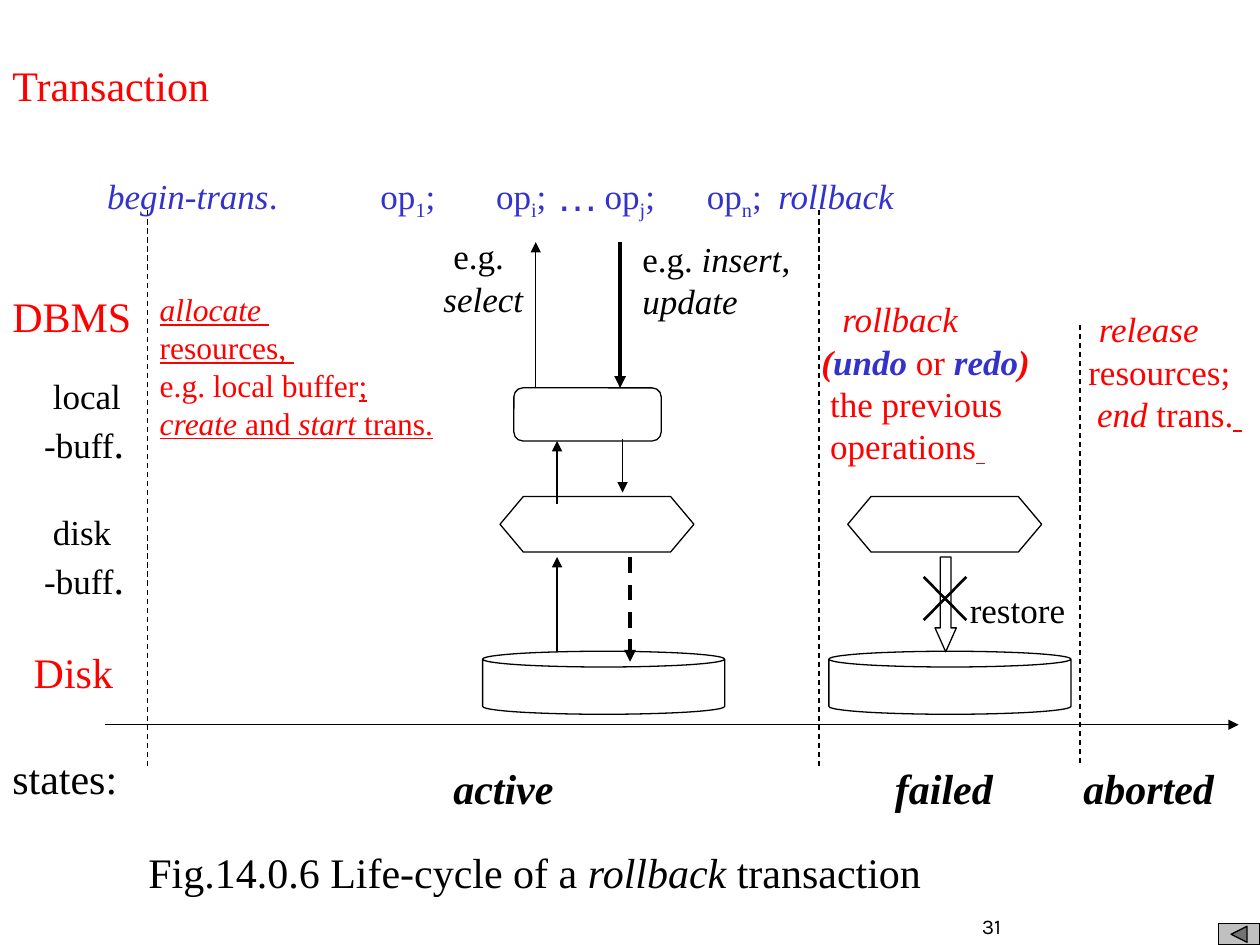
import dataclasses
import typing

import lxml.etree
import pptx
import pptx.dml.color
import pptx.enum.dml
import pptx.enum.shapes
import pptx.enum.text
import pptx.oxml.ns
import pptx.util

Cm = pptx.util.Cm
Pt = pptx.util.Pt
Shape = pptx.enum.shapes.MSO_SHAPE
Align = pptx.enum.text.PP_ALIGN
Anchor = pptx.enum.text.MSO_ANCHOR


@dataclasses.dataclass(frozen=True)
class Theme:
    black: str = "000000"
    white: str = "FFFFFF"
    red: str = "FF0000"
    blue: str = "3333CC"
    grey: str = "C0C0C0"
    serif: str = "Times New Roman"
    sans: str = "Arial"
    number: str = "Karla"
    large: int = 24
    body: int = 20
    small: int = 18
    tiny: int = 12
    thin: float = 0.75
    medium: float = 1.5
    thick: float = 2.25


THEME = Theme()


@dataclasses.dataclass(frozen=True)
class Run:
    text: str
    style: str = ""
    color: str = THEME.black
    size: int = THEME.body
    font: str = THEME.serif


@dataclasses.dataclass(frozen=True)
class Label:
    left: float
    top: float
    width: float
    height: float
    paragraphs: list[list[Run]]
    wrap: bool = False
    align: typing.Any = Align.LEFT
    anchor: typing.Any = Anchor.TOP


@dataclasses.dataclass(frozen=True)
class Line:
    start: tuple[float, float]
    end: tuple[float, float]
    width: float = THEME.thin
    dashed: bool = False
    arrow: bool = True


@dataclasses.dataclass(frozen=True)
class Symbol:
    kind: typing.Any
    left: float
    top: float
    width: float
    height: float
    adjustments: tuple[float, ...] = ()
    fill: typing.Optional[str] = THEME.white


def rgb(color: str) -> pptx.dml.color.RGBColor:
    return pptx.dml.color.RGBColor.from_string(color)


def apply(target: typing.Any, values: dict[str, typing.Any]) -> None:
    for name, value in values.items():
        setattr(target, name, value)


def fill_label(shape: typing.Any, label: Label) -> None:
    frame = shape.text_frame
    apply(frame, {
        "word_wrap": label.wrap, "vertical_anchor": label.anchor,
        "auto_size": pptx.enum.text.MSO_AUTO_SIZE.NONE,
        "margin_left": Cm(0.25), "margin_right": Cm(0.25),
        "margin_top": Cm(0.13), "margin_bottom": Cm(0.13),
    })
    for index, runs in enumerate(label.paragraphs):
        paragraph = frame.add_paragraph() if index else frame.paragraphs[0]
        paragraph.alignment = label.align
        for item in runs:
            run = paragraph.add_run()
            run.text = item.text
            apply(run.font, {
                "name": item.font, "size": Pt(item.size),
                "bold": "b" in item.style, "italic": "i" in item.style,
                "underline": "u" in item.style,
            })
            run.font.color.rgb = rgb(item.color)
            if "s" in item.style:
                run.font._element.set("baseline", "-25000")


def draw_label(slide: typing.Any, label: Label) -> None:
    bounds = map(Cm, (label.left, label.top, label.width, label.height))
    fill_label(slide.shapes.add_textbox(*bounds), label)


def draw_line(slide: typing.Any, line: Line) -> None:
    connector = slide.shapes.add_connector(
        pptx.enum.shapes.MSO_CONNECTOR.STRAIGHT, *map(Cm, line.start + line.end))
    connector.line.width = Pt(line.width)
    connector.line.color.rgb = rgb(THEME.black)
    if line.dashed:
        connector.line.dash_style = pptx.enum.dml.MSO_LINE.DASH
    qualify = pptx.oxml.ns.qn
    if line.arrow:
        outline = connector.line._get_or_add_ln()
        lxml.etree.SubElement(outline, qualify("a:tailEnd"), type="triangle")
    lxml.etree.SubElement(connector._element.spPr, qualify("a:effectLst"))


def draw_symbol(slide: typing.Any, symbol: Symbol) -> None:
    bounds = map(Cm, (symbol.left, symbol.top, symbol.width, symbol.height))
    shape = slide.shapes.add_shape(symbol.kind, *bounds)
    shape.shadow.inherit = False
    for index, value in enumerate(symbol.adjustments):
        shape.adjustments[index] = value
    if symbol.fill:
        shape.fill.solid()
        shape.fill.fore_color.rgb = rgb(symbol.fill)
    else:
        shape.fill.background()
    shape.line.width = Pt(THEME.thin)
    shape.line.color.rgb = rgb(THEME.black)


def large(text: str, style: str = "", color: str = THEME.black) -> list[list[Run]]:
    return [[Run(text, style, color, THEME.large)]]


def red(text: str, style: str = "") -> Run:
    return Run(text, style, THEME.red)


def blue(text: str, style: str = "") -> Run:
    return Run(text, style, THEME.blue)


def note(text: str, style: str = "u") -> Run:
    return Run(text, style, THEME.red, THEME.small)


def operation(left: float, width: float, subscript: str) -> Label:
    return Label(left, 3.38, width, 1.22, [[blue("op"), blue(subscript, "s"), blue(";")]])


def buffer(top: float, name: str) -> Label:
    return Label(0.64, top, 2.13, 2.13, [
        [Run(f" {name}")], [Run("-buff"), Run(".", size=THEME.large)]])


TITLE = Label(0, 1.07, 4.5, 1.27, large("Transaction", color=THEME.red))
LABELS = [
    Label(2.74, 16.94, 16.1, 1.27, [[
        Run("Fig.14.0.6 Life-cycle of a ", size=THEME.large),
        Run("rollback", "i", size=THEME.large), Run(" transaction", size=THEME.large)]]),
    Label(0, 5.72, 2.9, 1.27, large("DBMS", color=THEME.red)),
    buffer(7.42, "local"),
    buffer(10.16, "disk"),
    Label(0.43, 12.9, 2.11, 1.27, large("Disk", color=THEME.red)),
    Label(0, 15.04, 2.82, 1.27, large("states:")),
    Label(8.89, 15.24, 2.51, 1.27, large("active", "bi")),
    Label(17.58, 15.24, 2.69, 1.27, [[
        Run(" ", size=THEME.large), Run("failed", "bi", size=THEME.large)]]),
    Label(21.59, 15.24, 3.38, 1.27, large("aborted", "bi"), wrap=True),
    Label(1.91, 3.38, 3.94, 1.12, [[blue("begin-trans", "i"), blue(".")]]),
    operation(7.42, 1.6, "1"),
    operation(9.75, 1.52, "i"),
    operation(11.94, 1.52, "j"),
    operation(14, 1.6, "n"),
    Label(10.97, 3.28, 1.35, 1.27, [[Run("…", "", THEME.blue, THEME.large, THEME.sans)]]),
    Label(15.44, 3.38, 2.87, 1.12, [[blue("rollback", "i")]]),
    Label(8.69, 4.45, 2.11, 2.13, [
        [Run(" ", size=THEME.large, font=THEME.number), Run("e.g.")],
        [Run("select", "i")]], wrap=True),
    Label(12.7, 4.65, 3.48, 1.96, [
        [Run("e.g. "), Run("insert", "i"), Run(",")], [Run("update", "i")]]),
    Label(2.97, 5.72, 6.05, 3.3, [
        [note("allocate", "iu"), note(" ")], [note("resources, ")],
        [note("e.g. local buffer", ""), note(";")],
        [note("create", "iu"), note(" and "), note("start", "iu"), note(" trans.")]]),
    Label(16.31, 5.72, 4.88, 3.81, [
        [Run("  ", size=THEME.large), red("rollback", "i")],
        [red("(", "bi"), blue("undo", "bi"), red(" or "), blue("redo", "bi"), red(")", "bi")],
        [red(" the previous")], [red(" operations"), red(" ", "u")]]),
    Label(21.69, 5.92, 3.61, 2.97, [
        [Run(" ", size=THEME.large), red("release", "i")], [red("resources;")],
        [red(" "), red("end", "i"), red(" trans."), red(" ", "u")]]),
    Label(19.3, 11.73, 2.41, 1.12, [[Run("restore")]]),
    Label(17.35, 17.78, 5.28, 1.27, [[Run("31", size=THEME.tiny, font=THEME.number)]],
          wrap=True, align=Align.CENTER, anchor=Anchor.BOTTOM),
]
BACK_LINES = [
    Line((2.11, 14.61), (24.97, 14.61)),
    *(Line((x, top), (x, 15.44), dashed=True, arrow=False)
      for x, top in ((2.97, 4.24), (16.51, 4.24), (21.77, 6.55))),
    Line((10.8, 7.82), (10.8, 4.88)),
    Line((12.5, 4.88), (12.5, 7.82), THEME.thick),
    Line((11.23, 13.34), (11.23, 11.23)),
]
SYMBOLS = [
    Symbol(Shape.ROUNDED_RECTANGLE, 10.36, 7.82, 2.97, 1.07, (0.17,)),
    *(Symbol(Shape.HEXAGON, left, 10.01, 3.91, 1.12, (0.42,)) for left in (10.08, 17.09)),
    *(Symbol(Shape.CAN, left, 13.13, 4.88, 1.27, (0.25,)) for left in (9.73, 16.71)),
    Symbol(Shape.DOWN_ARROW, 18.85, 11.23, 0.43, 1.91, (0.5, 1.12), None),
    Symbol(Shape.ACTION_BUTTON_BACK_OR_PREVIOUS, 24.56, 18.62, 0.84, 0.43, fill=THEME.grey),
]
FRONT_LINES = [
    Line((12.7, 11.23), (12.7, 13.34), THEME.thick, dashed=True),
    Line((11.23, 10.16), (11.23, 8.89)),
    Line((12.55, 8.84), (12.55, 9.93)),
    Line((19.48, 11.63), (18.62, 12.5), THEME.medium, arrow=False),
    Line((18.62, 11.63), (19.48, 12.5), THEME.medium, arrow=False),
]


def main() -> None:
    presentation = pptx.Presentation()
    apply(presentation, {"slide_width": Cm(25.4), "slide_height": Cm(19.05)})
    slide = presentation.slides.add_slide(presentation.slide_layouts[5])
    title = slide.shapes.title
    apply(title, {name: Cm(getattr(TITLE, name)) for name in ("left", "top", "width", "height")})
    fill_label(title, TITLE)
    for draw, items in ((draw_line, BACK_LINES), (draw_symbol, SYMBOLS),
                        (draw_line, FRONT_LINES), (draw_label, LABELS)):
        for item in items:
            draw(slide, item)
    presentation.save("out.pptx")


if __name__ == "__main__":
    main()
